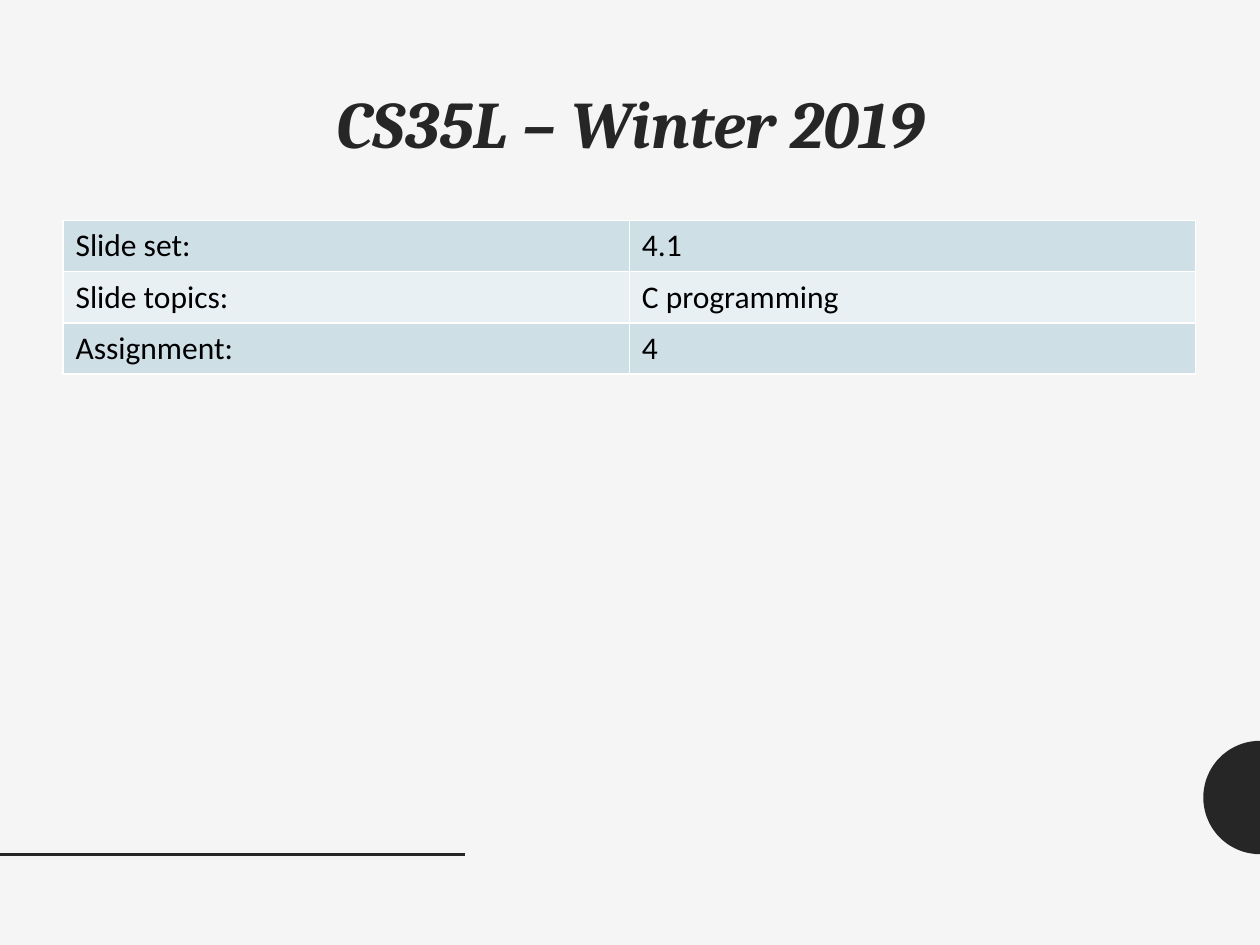
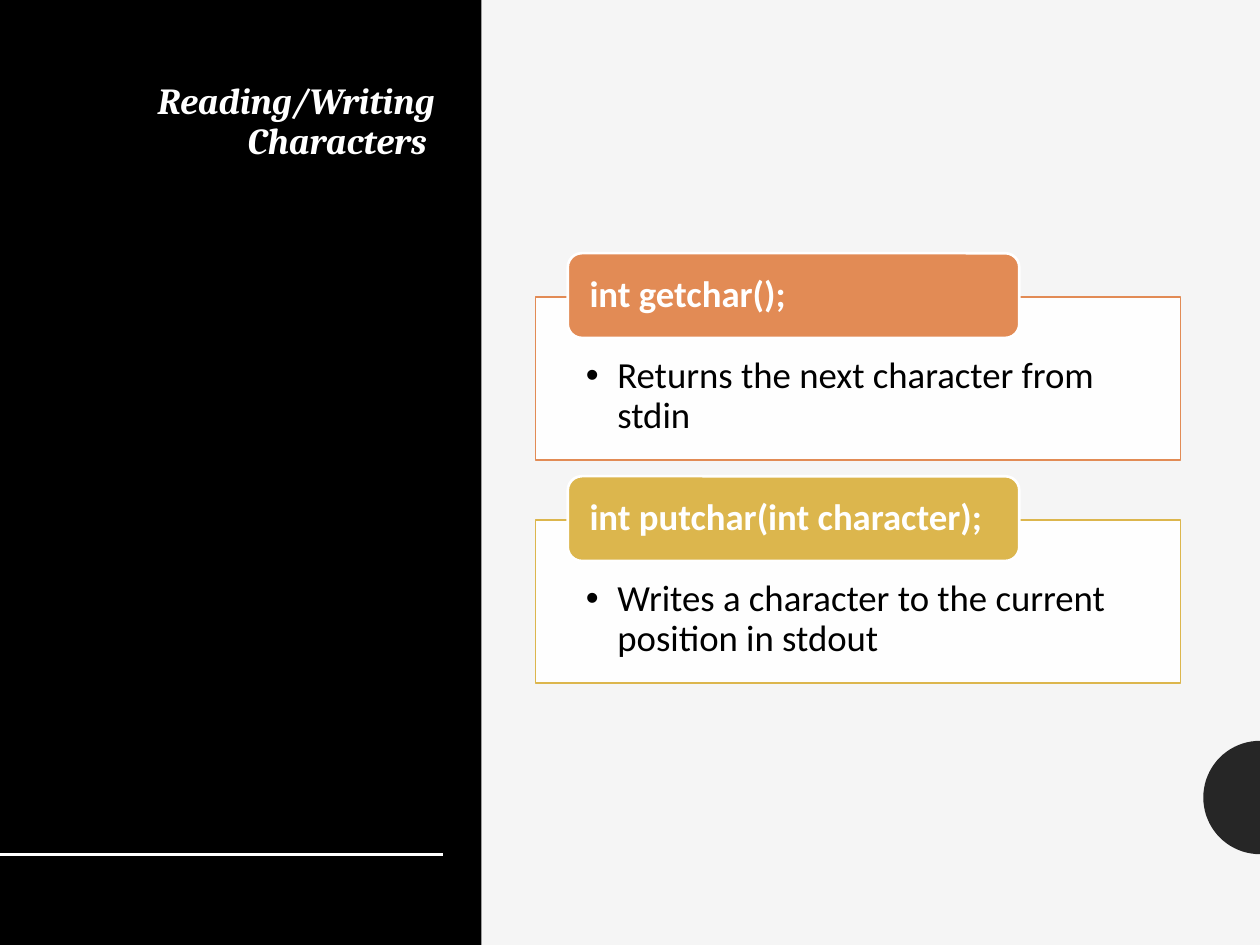
from math import cos, pi, sin

from lxml import etree
from pptx import Presentation
from pptx.dml.color import RGBColor
from pptx.enum.shapes import MSO_CONNECTOR, MSO_SHAPE
from pptx.enum.text import MSO_ANCHOR, MSO_AUTO_SIZE, PP_ALIGN
from pptx.oxml.ns import qn
from pptx.util import Inches, Pt

LEFT, MID, RIGHT = PP_ALIGN.LEFT, PP_ALIGN.CENTER, PP_ALIGN.RIGHT
TOP, CENTRE = MSO_ANCHOR.TOP, MSO_ANCHOR.MIDDLE
NO_FIT = MSO_AUTO_SIZE.NONE
RECT, ROUND = MSO_SHAPE.RECTANGLE, MSO_SHAPE.ROUNDED_RECTANGLE
STRAIGHT = MSO_CONNECTOR.STRAIGHT

WIDE, HIGH = Inches(10), Inches(7.5)
HEAD, BODY = "Cambria", "Calibri"
INK = {
    "paper": "F5F5F5", "dark": "262626", "black": "000000",
    "white": "FFFFFF", "band": "CFDFE6", "pale": "E9F0F3",
    "orange": "E28B55", "gold": "DCB64D",
}


def rgb(name):
    return RGBColor.from_string(INK[name])


def span(x, y, w, h):
    """Turn percentages of the slide into a box."""
    return (round(x * WIDE / 100), round(y * HIGH / 100),
            round(w * WIDE / 100), round(h * HIGH / 100))


def part(box, x, y, w, h):
    """Take shares of a box as a smaller box."""
    left, top, wide, high = box
    return (round(left + x * wide), round(top + y * high),
            round(w * wide), round(h * high))


def child(node, tag, **attrs):
    return etree.SubElement(node, qn(tag), attrs)


def write(frame, text, size=18, font=BODY, ink="black", bold=False,
          slant=False, align=LEFT, anchor=TOP, pad=(0.1, 0.05, 0.1, 0.05),
          space=0.9, bullet=None):
    frame.word_wrap, frame.auto_size = True, NO_FIT
    frame.vertical_anchor = anchor
    (frame.margin_left, frame.margin_top,
     frame.margin_right, frame.margin_bottom) = map(Inches, pad)
    para = frame.paragraphs[0]
    if bullet:
        props = para._p.get_or_add_pPr()
        props.set("marL", str(Inches(0.25)))
        props.set("indent", str(-Inches(0.25)))
        child(props, "a:buFont", typeface="Arial")
        child(props, "a:buChar", char=bullet)
    para.alignment, para.line_spacing = align, space
    run = para.add_run()
    run.text = text
    style = run.font
    style.name, style.size = font, Pt(size)
    style.bold, style.italic = bold, slant
    style.color.rgb = rgb(ink)


def block(slide, kind, box, fill, line=None, weight=1):
    shape = slide.shapes.add_shape(kind, *box)
    shape.shadow.inherit = False
    shape.fill.solid()
    shape.fill.fore_color.rgb = rgb(fill)
    if line:
        shape.line.color.rgb = rgb(line)
        shape.line.width = Pt(weight)
    else:
        shape.line.fill.background()
    return shape


def title(slide, box, text, **look):
    shape = slide.shapes.title
    shape.left, shape.top, shape.width, shape.height = box
    write(shape.text_frame, text, font=HEAD, bold=True, slant=True, **look)


def disc(slide, box):
    """Half disc on the right edge."""
    left, top, wide, high = box
    steps = 40
    arc = [(left + wide * (1 - sin(pi * i / steps)),
            top + high * (1 + cos(pi * i / steps)) / 2)
           for i in range(steps + 1)]
    pen = slide.shapes.build_freeform(*arc[0])
    pen.add_line_segments(arc[1:], close=True)
    shape = pen.convert_to_shape()
    shape.shadow.inherit = False
    shape.fill.solid()
    shape.fill.fore_color.rgb = rgb("dark")
    shape.line.fill.background()


def rule(slide, share, ink):
    """Footer line from the left edge."""
    x, y, w, _ = span(0, 90.4, share, 0)
    line = slide.shapes.add_connector(STRAIGHT, x, y, x + w, y)
    line.line.color.rgb, line.line.width = rgb(ink), Pt(2)
    child(line._element.spPr, "a:effectLst")


def start(prs, share, ink):
    """Begin a slide with the shared trim."""
    slide = prs.slides.add_slide(prs.slide_layouts[5])
    disc(slide, span(95.5, 78.4, 4.5, 12))
    rule(slide, share, ink)
    return slide


def grid(slide, box, rows):
    """Banded table with white borders."""
    table = slide.shapes.add_table(len(rows), len(rows[0]), *box).table
    table.first_row = table.horz_banding = False
    for r, row in enumerate(rows):
        for c, text in enumerate(row):
            cell = table.cell(r, c)
            props = cell._tc.get_or_add_tcPr()
            for side in "LRTB":
                edge = child(props, f"a:ln{side}", w=str(Pt(1)))
                fill = child(edge, "a:solidFill")
                child(fill, "a:srgbClr", val=INK["white"])
            cell.fill.solid()
            cell.fill.fore_color.rgb = rgb("pale" if r % 2 else "band")
            write(cell.text_frame, text, space=1.0)


def card(slide, box, name, note, ink):
    """Outlined note with a coloured tag on its top edge."""
    frame = block(slide, RECT, part(box, 0, 0.21, 1, 0.79), "white", ink)
    tint = frame._element.spPr.find(qn("a:solidFill"))[0]
    child(tint, "a:alpha", val="90000")
    write(frame.text_frame, note, size=21, bullet="•",
          pad=(0.4, 0.48, 0.4, 0.16))
    tag = block(slide, ROUND, part(box, 0.05, 0, 0.7, 0.41), ink,
                "white", 1.5)
    write(tag.text_frame, name, size=21, ink="white", bold=True,
          anchor=CENTRE, pad=(0.14, 0, 0.14, 0))


def cover(prs):
    slide = start(prs, 36.9, "dark")
    title(slide, span(21.1, 8.93, 57.9, 8.93), "CS35L – Winter 2019",
          size=38, ink="dark", align=MID, anchor=CENTRE)
    grid(slide, span(5, 23.33, 89.9, 16.27), [
        ("Slide set:", "4.1"),
        ("Slide topics:", "C programming"),
        ("Assignment:", "4"),
    ])


def calls(prs):
    slide = start(prs, 35.2, "white")
    # Dark panel goes behind the title and footer line
    panel = block(slide, RECT, span(0, 0, 38.2, 100), "black")._element
    panel.getparent().insert(2, panel)
    title(slide, span(6.2, 8.13, 29.3, 72.27),
          "Reading/Writing Characters ", size=21, ink="white", align=RIGHT)
    cards = [
        ("int getchar();", "Returns the next character from stdin", "orange"),
        ("int putchar(int character);",
         "Writes a character to the current position in stdout", "gold"),
    ]
    for i, item in enumerate(cards):
        card(slide, span(42.5, 26.8 + 23.6 * i, 51.2, 21.87), *item)


def main():
    prs = Presentation()
    prs.slide_width, prs.slide_height = WIDE, HIGH
    back = prs.slide_master.background.fill
    back.solid()
    back.fore_color.rgb = rgb("paper")
    cover(prs)
    calls(prs)
    prs.save("out.pptx")


if __name__ == "__main__":
    main()
